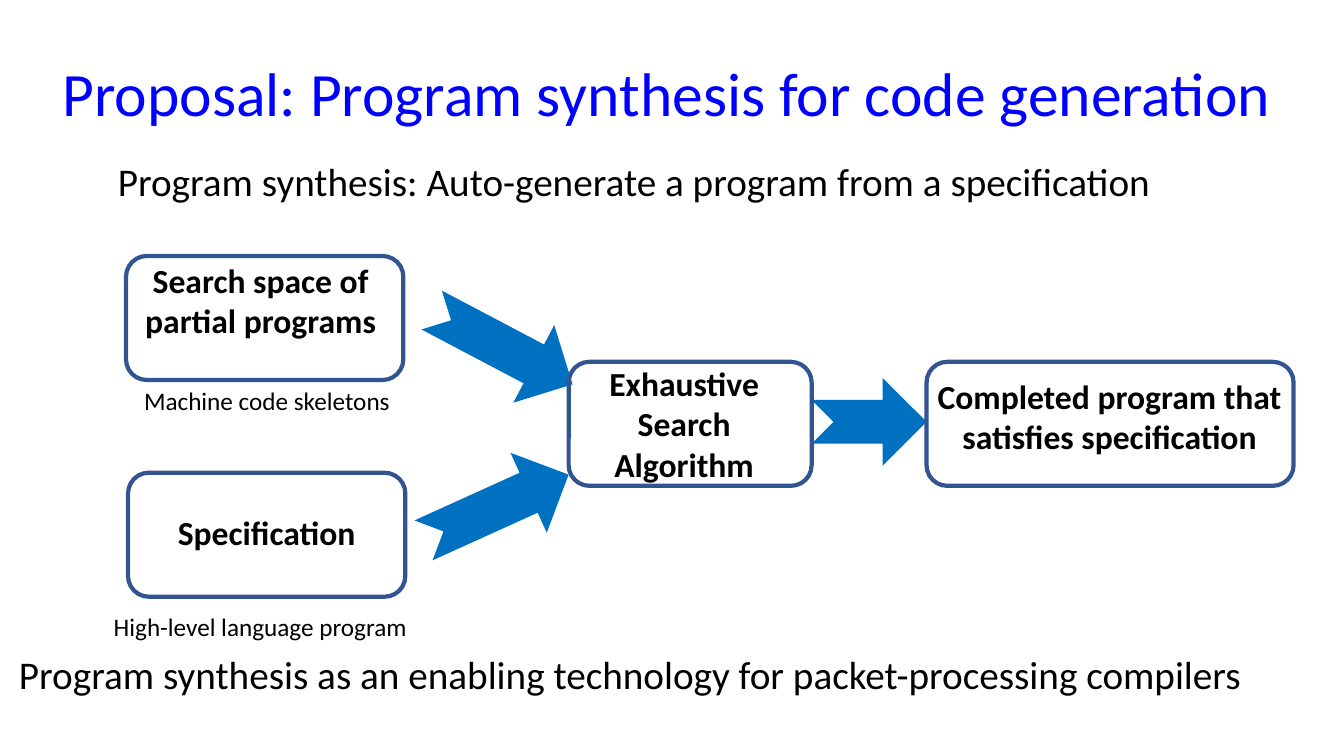
from pptx import Presentation
from pptx.dml.color import RGBColor
from pptx.enum.shapes import MSO_SHAPE
from pptx.enum.text import MSO_ANCHOR, MSO_AUTO_SIZE, PP_ALIGN
from pptx.util import Inches, Pt

ROUNDED = MSO_SHAPE.ROUNDED_RECTANGLE
NOTCHED_ARROW = MSO_SHAPE.NOTCHED_RIGHT_ARROW
TOP = MSO_ANCHOR.TOP
NO_AUTOFIT = MSO_AUTO_SIZE.NONE
LEFT, CENTER = PP_ALIGN.LEFT, PP_ALIGN.CENTER
TITLE_ONLY = 5


def color(hex_code):
    return RGBColor.from_string(hex_code)


class SynthesisSlide:
    FONT = "Calibri"
    TITLE_COLOR, TEXT_COLOR = "0000FF", "000000"
    ARROW_COLOR, BORDER_COLOR = "0070C0", "325491"
    BOX_HEIGHT, ARROW_HEIGHT = 1.23, 0.87

    def __init__(self, deck):
        self.slide = deck.slides.add_slide(deck.slide_layouts[TITLE_ONLY])

    def set_text(self, frame, lines, size, hex_code=TEXT_COLOR, bold=False, align=LEFT):
        frame.word_wrap = True
        frame.auto_size = NO_AUTOFIT
        frame.vertical_anchor = TOP
        frame.text = "\n".join(lines)
        for paragraph in frame.paragraphs:
            paragraph.alignment = align
            font = paragraph.font
            font.name, font.size, font.bold = self.FONT, Pt(size), bold
            font.color.rgb = color(hex_code)

    def title(self, text, left, top, width, height):
        heading = self.slide.shapes.title
        heading.left, heading.top = Inches(left), Inches(top)
        heading.width, heading.height = Inches(width), Inches(height)
        self.set_text(heading.text_frame, [text], 44, self.TITLE_COLOR)

    def text(self, text, left, top, width, height, size):
        box = self.slide.shapes.add_textbox(*map(Inches, (left, top, width, height)))
        self.set_text(box.text_frame, [text], size)

    def arrow(self, left, top, width, rotation=0):
        arrow = self.slide.shapes.add_shape(
            NOTCHED_ARROW, *map(Inches, (left, top, width, self.ARROW_HEIGHT)))
        arrow.rotation = rotation
        arrow.shadow.inherit = False
        arrow.fill.solid()
        arrow.fill.fore_color.rgb = color(self.ARROW_COLOR)
        arrow.line.fill.background()

    def stage(self, lines, left, top, width, label_area):
        """Outlined box grouped with its bold label."""
        group = self.slide.shapes.add_group_shape()
        outline = group.shapes.add_shape(
            ROUNDED, *map(Inches, (left, top, width, self.BOX_HEIGHT)))
        outline.shadow.inherit = False
        outline.fill.background()
        outline.line.color.rgb = color(self.BORDER_COLOR)
        outline.line.width = Pt(3)
        label = group.shapes.add_textbox(*map(Inches, label_area))
        self.set_text(label.text_frame, lines, 24, bold=True, align=CENTER)


def main():
    deck = Presentation()
    deck.slide_width, deck.slide_height = Inches(13.33), Inches(7.5)
    page = SynthesisSlide(deck)

    # Title and definition
    page.title("Proposal: Program synthesis for code generation", 0.52, 0.49, 12.59, 0.84)
    page.text("Program synthesis: Auto-generate a program from a specification",
              1.07, 1.51, 11.51, 0.57, 28)

    # Arrows: search to result, then each input to search
    page.arrow(8.05, 3.75, 1.14)
    page.arrow(4.13, 4.6, 1.58, 335.6)
    page.arrow(4.19, 3.01, 1.58, 27.8)

    # Inputs, search and result
    page.stage(["Specification"], 1.27, 4.69, 2.75, (1.27, 5.03, 2.75, 0.5))
    page.stage(["Search space of partial programs"], 1.25, 2.54, 2.75,
               (1.21, 2.53, 2.75, 0.91))
    page.stage(["Exhaustive", "Search", "Algorithm"], 5.64, 3.59, 2.41,
               (5.69, 3.55, 2.19, 1.31))
    page.stage(["Completed program that satisfies specification"], 9.19, 3.59, 3.64,
               (8.93, 3.68, 4.15, 1.31))

    # Input captions
    page.text("Machine code skeletons", 1.33, 3.77, 2.69, 0.4, 18)
    page.text("High-level language program", 1.03, 6.02, 3.23, 0.4, 18)

    # Conclusion
    page.text("Program synthesis as an enabling technology for packet-processing compilers",
              0.09, 6.4, 13.2, 0.57, 28)

    deck.save("out.pptx")


if __name__ == "__main__":
    main()
